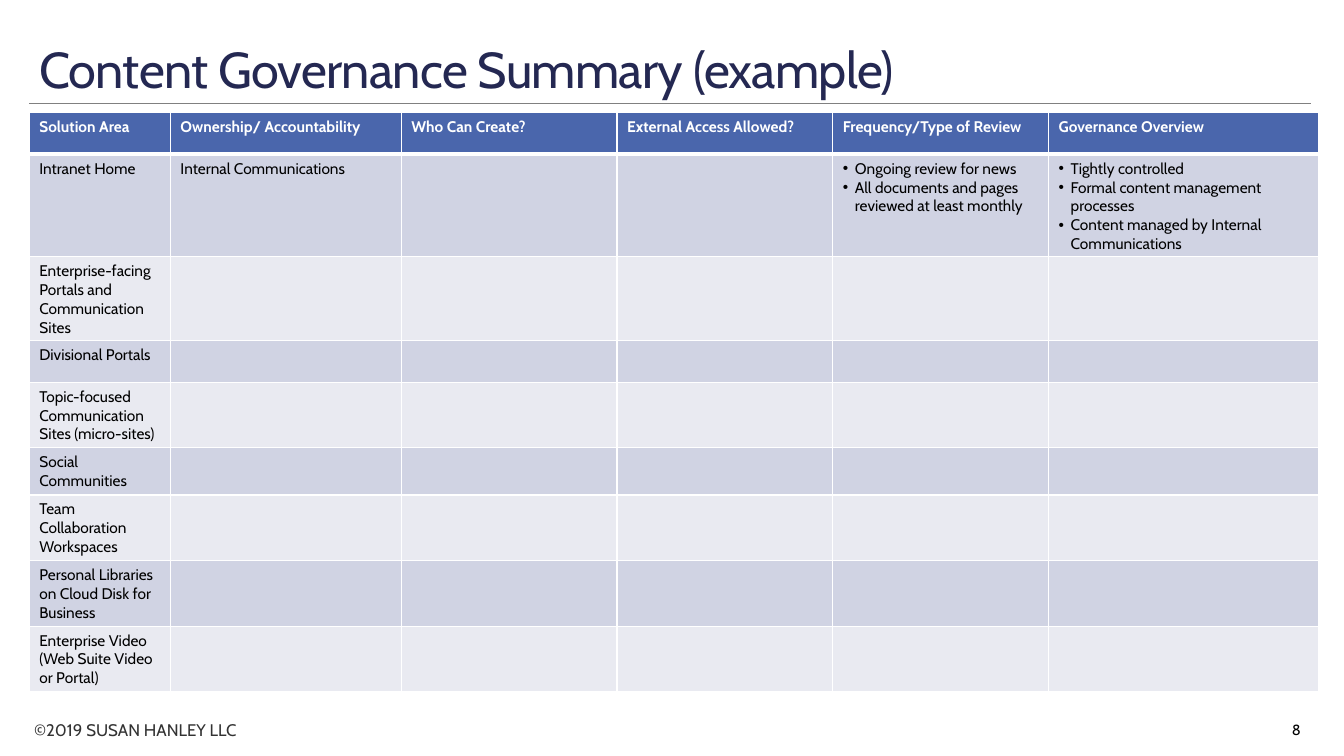
from lxml.etree import SubElement
from pptx import Presentation
from pptx.dml.color import RGBColor
from pptx.enum.shapes import MSO_CONNECTOR
from pptx.enum.text import MSO_ANCHOR, PP_ALIGN
from pptx.oxml.ns import qn
from pptx.util import Pt

PX = 9144
LEFT = 29
ROW_HEIGHT = 41
COLUMN_WIDTHS = [140, 229, 214, 214, 214, 268]
HEADERS = ["Solution Area", "Ownership/ Accountability", "Who Can Create?",
           "External Access Allowed?", "Frequency/Type of Review", "Governance Overview"]
INTRANET_ROW = [
    "Intranet Home", "Internal Communications", "", "",
    "Ongoing review for news\nAll documents and pages reviewed at least monthly",
    "Tightly controlled\nFormal content management processes\n"
    "Content managed by Internal Communications",
]
OTHER_AREAS = [
    "Enterprise-facing Portals and Communication Sites",
    "Divisional Portals",
    "Topic-focused Communication Sites (micro-sites)",
    "Social Communities",
    "Team Collaboration Workspaces",
    "Personal Libraries on Cloud Disk for Business",
    "Enterprise Video\n(Web Suite Video or Portal)",
]
ROWS = [HEADERS, INTRANET_ROW] + [[area] + [""] * 5 for area in OTHER_AREAS]


def color(hex_string):
    return RGBColor.from_string(hex_string)


def write(frame, text, size=11, fill="000000", bold=False, align=PP_ALIGN.LEFT,
          bullet=False, line_spacing=None, tracking=None):
    frame.word_wrap = True
    for index, line in enumerate(text.split("\n")):
        paragraph = frame.paragraphs[0] if index == 0 else frame.add_paragraph()
        paragraph.alignment = align
        if line_spacing:
            paragraph.line_spacing = line_spacing
        if bullet:
            properties = paragraph._p.get_or_add_pPr()
            properties.set("marL", str(12 * PX))
            properties.set("indent", str(-12 * PX))
            SubElement(properties, qn("a:buFont"), typeface="Arial")
            SubElement(properties, qn("a:buChar"), char="•")
        run = paragraph.add_run()
        run.text = line
        run.font.name = "Cabin"
        run.font.size = Pt(size)
        run.font.bold = bold
        run.font.color.rgb = color(fill)
        if tracking is not None:
            run._r.get_or_add_rPr().set("spc", str(tracking))


presentation = Presentation()
presentation.slide_width = 1333 * PX
presentation.slide_height = 750 * PX
slide = presentation.slides.add_slide(presentation.slide_layouts[5])
slide.background.fill.solid()
slide.background.fill.fore_color.rgb = color("FFFFFF")

rule = slide.shapes.add_connector(
    MSO_CONNECTOR.STRAIGHT, LEFT * PX, 103 * PX, 1300 * PX, 103 * PX)
rule.line.color.rgb = color("808080")
rule.line.width = Pt(0.5)
SubElement(rule._element.spPr, qn("a:effectLst"))

copyright_box = slide.shapes.add_textbox(24 * PX, 709 * PX, 281 * PX, 30 * PX)
write(copyright_box.text_frame, "©2019 SUSAN HANLEY LLC", size=12, fill="333333")

title = slide.shapes.title
title.left, title.top, title.width, title.height = LEFT * PX, 19 * PX, 1271 * PX, 84 * PX
title.text_frame.vertical_anchor = MSO_ANCHOR.BOTTOM
write(title.text_frame, "Content Governance Summary (example)", size=36, fill="242852",
      line_spacing=0.85, tracking=-50)

number_box = slide.shapes.add_textbox(1157 * PX, 704 * PX, 143 * PX, 40 * PX)
number_box.text_frame.vertical_anchor = MSO_ANCHOR.MIDDLE
write(number_box.text_frame, "8", size=10.5, align=PP_ALIGN.RIGHT)

table_frame = slide.shapes.add_table(
    len(ROWS), len(HEADERS), LEFT * PX, 112 * PX, sum(COLUMN_WIDTHS) * PX,
    len(ROWS) * ROW_HEIGHT * PX)
table = table_frame.table
for column, width in zip(table.columns, COLUMN_WIDTHS):
    column.width = width * PX

for row_index, row in enumerate(ROWS):
    is_header = row_index == 0
    band = "4A66AC" if is_header else ("D0D3E3" if row_index % 2 else "E9EAF1")
    for column_index, text in enumerate(row):
        cell = table.cell(row_index, column_index)
        cell_properties = cell._tc.get_or_add_tcPr()
        for side in ("lnL", "lnR", "lnT", "lnB"):
            is_thick = (row_index, side) in ((0, "lnB"), (1, "lnT"))
            border = SubElement(cell_properties, qn(f"a:{side}"),
                                w=str(Pt(3 if is_thick else 1)))
            border_fill = SubElement(border, qn("a:solidFill"))
            SubElement(border_fill, qn("a:srgbClr"), val="FFFFFF")
        cell.fill.solid()
        cell.fill.fore_color.rgb = color(band)
        if text:
            write(cell.text_frame, text, fill="FFFFFF" if is_header else "000000",
                  bold=is_header, bullet=not is_header and column_index >= 4)

table_frame.height = 573 * PX

presentation.save("out.pptx")
